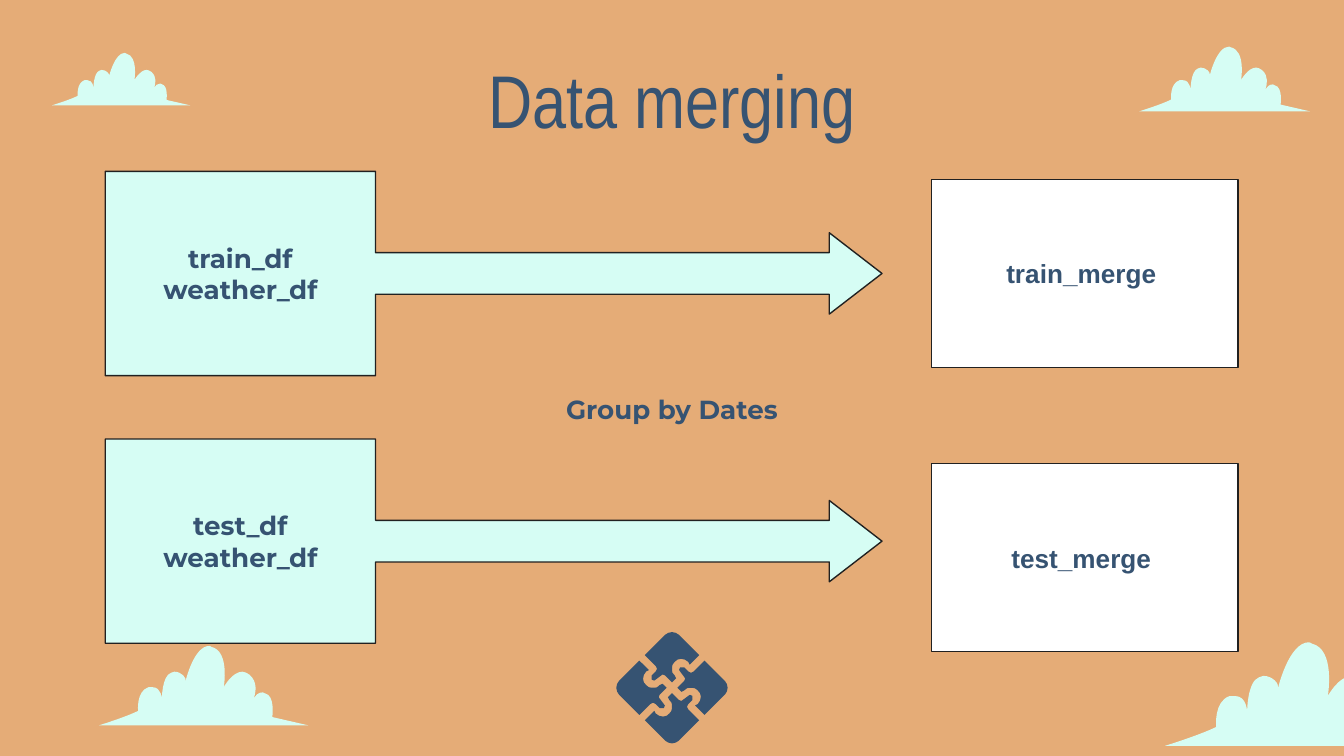
from dataclasses import dataclass

from lxml.etree import SubElement
from pptx import Presentation
from pptx.dml.color import RGBColor
from pptx.enum.shapes import MSO_SHAPE
from pptx.enum.text import MSO_ANCHOR, PP_ALIGN
from pptx.oxml.ns import qn
from pptx.util import Cm, Pt


@dataclass(frozen=True)
class Theme:
    sand: RGBColor = RGBColor.from_string("E5AC77")
    mint: RGBColor = RGBColor.from_string("D6FDF4")
    navy: RGBColor = RGBColor.from_string("365372")
    ink: RGBColor = RGBColor.from_string("212121")
    white: RGBColor = RGBColor.from_string("FFFFFF")
    title_size: Pt = Pt(40)
    label_size: Pt = Pt(14)
    outline: Pt = Pt(0.75)


theme = Theme()

CLOUD_WIDTH = 203
CLOUD = [
    (107, 0), (92, 0, 84, 34, 84, 34), (85, 31, 80, 25, 73, 25),
    (72, 25, 71, 25, 70, 26), (61, 29, 61, 52, 61, 52),
    (61, 52, 61, 40, 52, 40), (51, 40, 50, 40, 48, 40),
    (36, 44, 38, 63, 38, 63), (26, 69, 0, 77, 0, 77), (203, 77), (168, 69),
    (168, 69, 171, 48, 161, 46), (160, 46, 159, 45, 159, 45),
    (154, 45, 152, 48, 150, 51), (152, 45, 154, 35, 146, 28),
    (143, 26, 141, 25, 139, 25), (129, 25, 121, 40, 121, 40),
    (121, 40, 127, 5, 109, 1), (109, 1, 108, 0, 107, 0),
]
PUZZLE_WIDTH = 83
PUZZLE_PIECE = [
    (-24, -20), (-39, -5), (-40, -4, -41, -2, -41, 0),
    (-41, 2, -40, 4, -39, 5), (-24, 20), (-16, 12),
    (-15, 11, -15, 11, -14, 11), (-13, 11, -13, 11, -12, 12), (-9, 15),
    (-9, 15, -8, 15, -7, 15), (-7, 15, -6, 15, -6, 15),
    (-5, 14, -5, 12, -6, 12), (-9, 8), (-10, 8, -10, 6, -9, 5), (-4, 0),
    (-7, -3), (-9, -2), (-10, 0, -12, 0, -14, 0), (-16, 0, -17, 0, -19, -2),
    (-22, -4, -22, -9, -19, -12), (-17, -13),
]


def add_outline(segments, left, top, scale, color, turns=0):
    curves = [list(zip(segment[::2], segment[1::2])) for segment in segments]
    for _ in range(turns):
        curves = [[(-y, x) for x, y in curve] for curve in curves]
    corners = [curve[-1] for curve in curves]
    builder = slide.shapes.build_freeform(*corners[0], scale=scale)
    builder.add_line_segments(corners[1:], close=True)
    shape = builder.convert_to_shape(left, top)
    min_x = min(x for x, y in corners)
    min_y = min(y for x, y in corners)
    lines = shape._element.xpath(".//a:lnTo")
    for line, curve in zip(lines, curves[1:]):
        if len(curve) == 3:
            bezier = line.makeelement(qn("a:cubicBezTo"))
            for x, y in curve:
                SubElement(bezier, qn("a:pt"), x=str(x - min_x), y=str(y - min_y))
            line.getparent().replace(line, bezier)
    shape.shadow.inherit = False
    shape.fill.solid()
    shape.fill.fore_color.rgb = color
    shape.line.fill.background()


def write_text(shape, lines, font_name, size, bold):
    frame = shape.text_frame
    frame.word_wrap = True
    frame.vertical_anchor = MSO_ANCHOR.MIDDLE
    frame.margin_left = frame.margin_right = Cm(0.25)
    frame.margin_top = frame.margin_bottom = Cm(0.25)
    frame.text = "\n".join(lines)
    for paragraph in frame.paragraphs:
        paragraph.alignment = PP_ALIGN.CENTER
        paragraph.font.name = font_name
        paragraph.font.size = size
        paragraph.font.bold = bold
        paragraph.font.color.rgb = theme.navy


presentation = Presentation()
presentation.slide_width = Cm(25.4)
presentation.slide_height = Cm(14.29)
slide = presentation.slides.add_slide(presentation.slide_layouts[6])
slide.background.fill.solid()
slide.background.fill.fore_color.rgb = theme.sand

for left, top, width in [
    (0.98, 1, 2.62), (22.02, 12.14, 5.16),
    (1.87, 12.21, 3.96), (21.53, 0.88, 3.23),
]:
    add_outline(CLOUD, Cm(left), Cm(top), Cm(width) / CLOUD_WIDTH, theme.mint)

title = slide.shapes.add_textbox(Cm(1.98), Cm(1.31), Cm(21.44), Cm(1.12))
write_text(title, ["Data merging"], "Arial Narrow", theme.title_size, False)

callout_adjustments = [0.204, 0.199, 0.258, 0.348]
for top, data_name in [(3.24, "train_df"), (8.3, "test_df")]:
    callout = slide.shapes.add_shape(
        MSO_SHAPE.RIGHT_ARROW_CALLOUT, Cm(1.99), Cm(top), Cm(14.68), Cm(3.86))
    for index, value in enumerate(callout_adjustments):
        callout.adjustments[index] = value
    callout.fill.solid()
    callout.fill.fore_color.rgb = theme.mint
    write_text(callout, [data_name, "weather_df"], "Montserrat", theme.label_size, True)

subtitle = slide.shapes.add_textbox(Cm(8.85), Cm(6.71), Cm(7.7), Cm(2.06))
write_text(subtitle, ["Group by Dates"], "Montserrat", theme.label_size, True)

for top, merge_name in [(3.39, "train_merge "), (8.76, "test_merge ")]:
    result = slide.shapes.add_shape(
        MSO_SHAPE.RECTANGLE, Cm(17.61), Cm(top), Cm(5.79), Cm(3.56))
    result.fill.solid()
    result.fill.fore_color.rgb = theme.white
    write_text(result, [merge_name], "Arial", theme.label_size, True)

for shape in slide.shapes:
    if shape.has_text_frame and shape not in (title, subtitle) and shape.text_frame.text:
        shape.shadow.inherit = False
        shape.line.color.rgb = theme.ink
        shape.line.width = theme.outline

for turns in range(4):
    add_outline(PUZZLE_PIECE, Cm(12.7), Cm(13), Cm(2.13) / PUZZLE_WIDTH, theme.navy, turns)

presentation.save("out.pptx")
